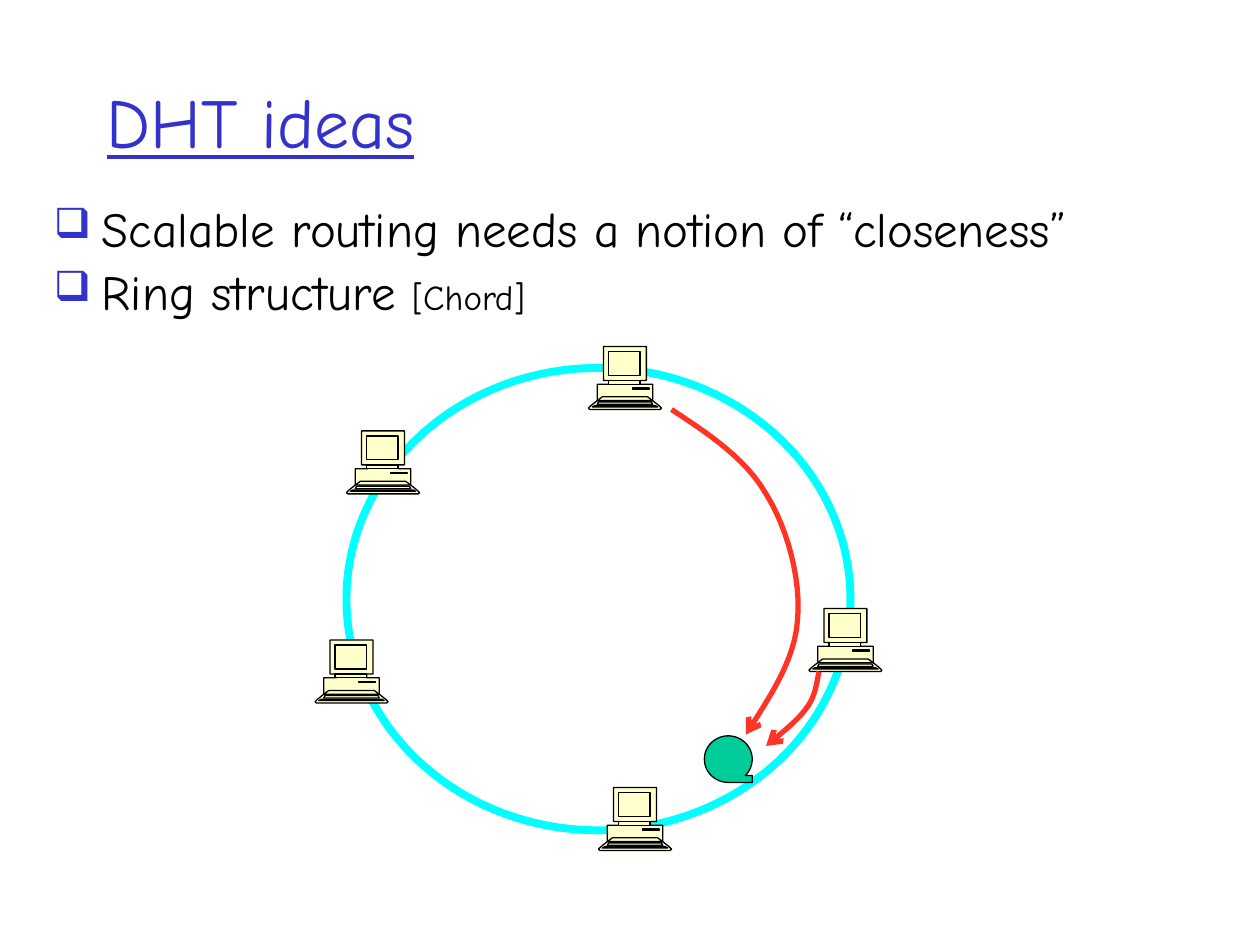
from copy import deepcopy
from dataclasses import dataclass
from typing import NamedTuple

from lxml import etree
from pptx import Presentation
from pptx import util as u
from pptx.dml.color import RGBColor
from pptx.enum import shapes, text
from pptx.oxml import ns


@dataclass(frozen=True)
class Theme:
    font: str = "Comic Neue"
    blue: str = "3333CC"
    ink: str = "000000"
    ring: str = "00FFFF"
    cream: str = "FFFFCC"
    red: str = "FF3425"
    green: str = "00CC99"
    title: int = 40
    body: int = 28
    cite: int = 20
    thin: float = 0.75
    bold: float = 3
    wide: float = 4.5


class Point(NamedTuple):
    x: float
    y: float


class Box(NamedTuple):
    x: float
    y: float
    w: float
    h: float


class Item(NamedTuple):
    main: str
    cite: str = ""


@dataclass(frozen=True)
class Route:
    start: Point
    bends: tuple


T = Theme()
WIDTH = 0.58
STEPS = 12
ITEMS = [
    Item("Scalable routing needs a notion of “closeness”"),
    Item("Ring structure ", "[Chord]"),
]
HOSTS = [Point(4.67, 2.75), Point(6.42, 4.83), Point(4.75, 6.25),
         Point(2.5, 5.08), Point(2.75, 3.42)]
ROUTES = [
    Route(Point(6.5, 5.33), (
        (Point(6.48, 5.43), Point(6.47, 5.53), Point(6.4, 5.62)),
        (Point(6.33, 5.72), Point(6.2, 5.82), Point(6.08, 5.92)),
    )),
    Route(Point(5.33, 3.25), (
        (Point(5.62, 3.44), Point(5.92, 3.64), Point(6.08, 3.92)),
        (Point(6.25, 4.19), Point(6.36, 4.6), Point(6.33, 4.92)),
        (Point(6.31, 5.24), Point(6.11, 5.53), Point(5.92, 5.83)),
    )),
]


def mirror(*half: tuple) -> list:
    return list(half) + [(WIDTH - x, y) for x, y in reversed(half)]


def rect(left: float, top: float, right: float, low: float) -> list:
    return [(left, top), (right, top), (right, low), (left, low)]


PARTS = [
    mirror((0.46, 0), (0.46, 0.27), (0.41, 0.27), (0.41, 0.3), (0.51, 0.3),
           (0.51, 0.43), (0.56, 0.47), (0.58, 0.49), (0.57, 0.5)),
    mirror((0.48, 0.43), (0.46, 0.41)),
    mirror((0.51, 0.46), (0.5, 0.44)),
    mirror((0.55, 0.48), (0.53, 0.47)),
    mirror((0.51, 0.43), (0.47, 0.4)),
    rect(0.35, 0.33, 0.48, 0.34),
    rect(0.16, 0.04, 0.41, 0.23),
    rect(0.16, 0.27, 0.41, 0.3),
]


def emu(points: list) -> list:
    return [(u.Inches(x), u.Inches(y)) for x, y in points]


def paint(shape, fill: str, line: str, width: float) -> None:
    shape.shadow.inherit = False
    if fill:
        shape.fill.solid()
        shape.fill.fore_color.rgb = RGBColor.from_string(fill)
    else:
        shape.fill.background()
    shape.line.color.rgb = RGBColor.from_string(line)
    shape.line.width = u.Pt(width)


def preset(slide, kind, box: Box, fill: str, line: str, width: float) -> None:
    shape = slide.shapes.add_shape(kind, *map(u.Inches, box))
    paint(shape, fill, line, width)


def host(slide, at: Point) -> None:
    first, *rest = map(emu, PARTS)
    pen = slide.shapes.build_freeform(*first[0])
    pen.add_line_segments(first[1:], close=True)
    for part in rest:
        pen.move_to(*part[0])
        pen.add_line_segments(part[1:], close=True)
    shape = pen.convert_to_shape(u.Inches(at.x), u.Inches(at.y))
    split(shape)
    paint(shape, T.cream, T.ink, T.thin)


def split(shape) -> None:
    whole = shape.element.xpath(".//a:path")[0]
    base = deepcopy(whole)
    for node in list(base):
        base.remove(node)
    owner = whole.getparent()
    owner.remove(whole)
    for node in list(whole):
        if node.tag == ns.qn("a:moveTo"):
            piece = deepcopy(base)
            owner.append(piece)
        piece.append(node)


def trace(trail: Route) -> list:
    points = [trail.start]
    for b, c, d in trail.bends:
        a = points[-1]
        for step in range(1, STEPS + 1):
            t = step / STEPS
            s = 1 - t
            points.append(Point(*(
                s**3 * i + 3 * s * s * t * j + 3 * s * t * t * k + t**3 * m
                for i, j, k, m in zip(a, b, c, d))))
    return points


def arrow(slide, trail: Route) -> None:
    points = emu(trace(trail))
    pen = slide.shapes.build_freeform(*points[0])
    pen.add_line_segments(points[1:], close=False)
    shape = pen.convert_to_shape()
    paint(shape, "", T.red, T.bold)
    line = shape.element.spPr.find(ns.qn("a:ln"))
    etree.SubElement(line, ns.qn("a:tailEnd"), type="arrow")


def frame(slide, box: Box, anchor):
    area = slide.shapes.add_textbox(*map(u.Inches, box)).text_frame
    area.word_wrap = True
    area.vertical_anchor = anchor
    return area


def style(run, size: int, color: str) -> None:
    run.font.name = T.font
    run.font.size = u.Pt(size)
    run.font.color.rgb = RGBColor.from_string(color)


def bullet(para) -> None:
    props = para._p.get_or_add_pPr()
    props.set("marL", str(u.Inches(0.38)))
    props.set("indent", str(u.Inches(-0.38)))
    color = etree.SubElement(props, ns.qn("a:buClr"))
    etree.SubElement(color, ns.qn("a:srgbClr"), val=T.blue)
    etree.SubElement(props, ns.qn("a:buSzPct"), val="85000")
    etree.SubElement(props, ns.qn("a:buChar"), char="❑")


def words(slide) -> None:
    head = frame(slide, Box(0.75, 0.33, 8.5, 1.25), text.MSO_ANCHOR.MIDDLE)
    head.text = "DHT ideas"
    run = head.paragraphs[0].runs[0]
    style(run, T.title, T.blue)
    run.font.underline = True
    body = frame(slide, Box(0.33, 1.58, 9.33, 0.67), text.MSO_ANCHOR.TOP)
    for n, item in enumerate(ITEMS):
        para = body.add_paragraph() if n else body.paragraphs[0]
        bullet(para)
        para.line_spacing = 0.9
        para.space_before = u.Pt(0.2 * T.body if n else 0)
        for part, size in zip(item, (T.body, T.cite)):
            if part:
                run = para.add_run()
                run.text = part
                style(run, size, T.ink)


def main() -> None:
    deck = Presentation()
    deck.slide_width, deck.slide_height = u.Inches(10), u.Inches(7.5)
    slide = deck.slides.add_slide(deck.slide_layouts[6])
    kind = shapes.MSO_SHAPE
    words(slide)
    preset(slide, kind.OVAL, Box(2.75, 2.92, 4, 3.67), "", T.ring, T.wide)
    for at in HOSTS:
        host(slide, at)
    for trail in ROUTES:
        arrow(slide, trail)
    preset(slide, kind.FLOWCHART_SEQUENTIAL_ACCESS_STORAGE,
           Box(5.59, 5.84, 0.38, 0.37), T.green, T.ink, T.thin)
    deck.save("out.pptx")


if __name__ == "__main__":
    main()
